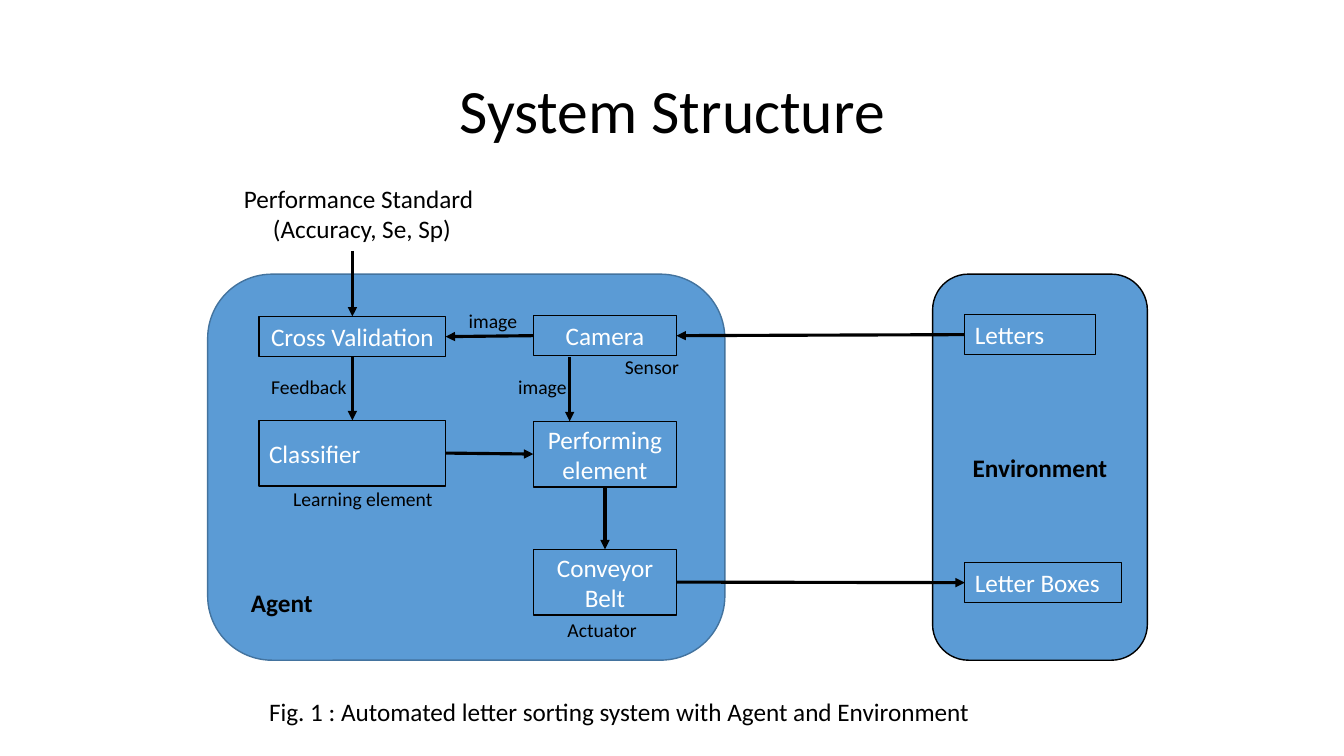
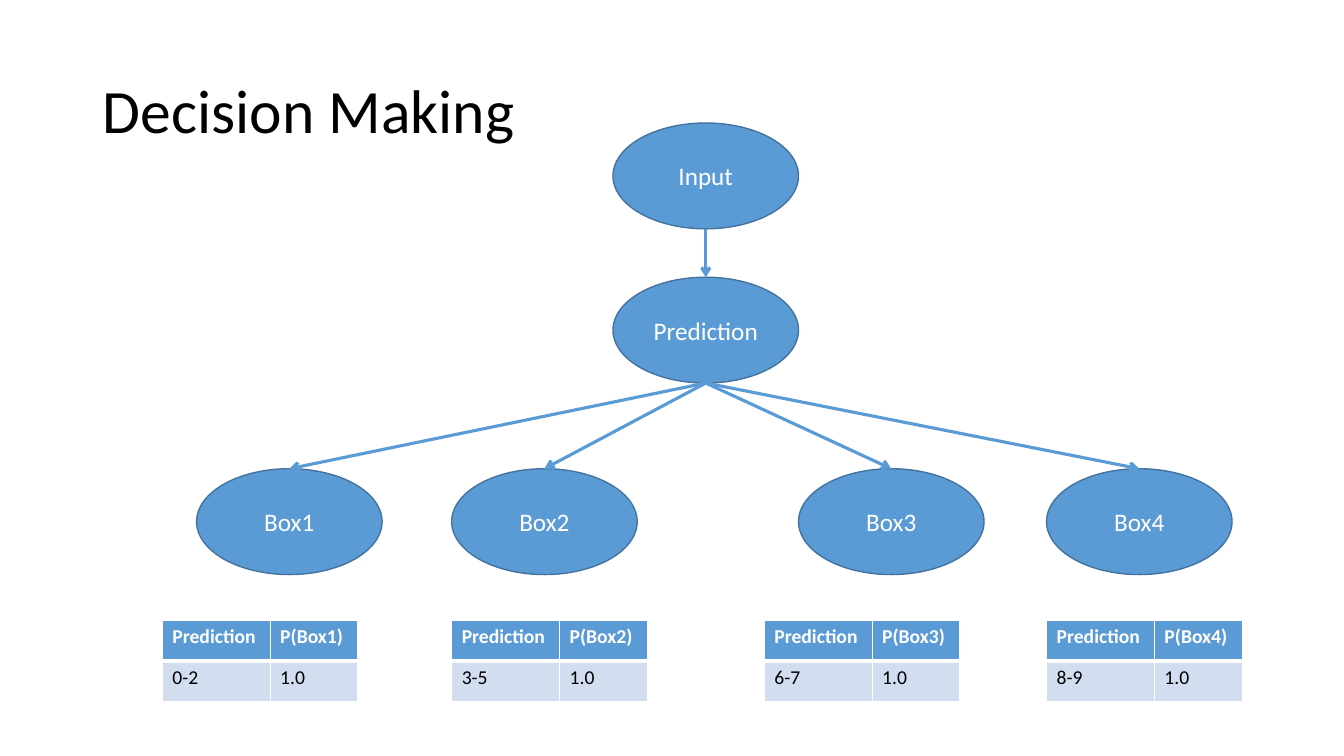
from lxml import etree
from pptx import Presentation
from pptx.dml.color import RGBColor
from pptx.enum.shapes import MSO_CONNECTOR, MSO_SHAPE
from pptx.enum.text import MSO_ANCHOR, MSO_AUTO_SIZE, PP_ALIGN
from pptx.oxml.ns import qn
from pptx.util import Pt

PX = 9144
FONT = "Calibri"
COLOURS = {
    "blue": "5B9BD5",
    "edge": "43739E",
    "pale": "D2DEEF",
    "black": "000000",
    "white": "FFFFFF",
}
RECT = MSO_SHAPE.RECTANGLE
ROUNDED = MSO_SHAPE.ROUNDED_RECTANGLE
OVAL = MSO_SHAPE.OVAL
STRAIGHT = MSO_CONNECTOR.STRAIGHT
LEFT, CENTRE = PP_ALIGN.LEFT, PP_ALIGN.CENTER
TOP_SITE, LEFT_SITE, BOTTOM_SITE, RIGHT_SITE = range(4)
OVAL_BOTTOM_SITE = 4
TITLE_BOX = (92, 40, 1150, 145)
TITLE_ONLY = 5


def emu(*lengths):
    """Turn px lengths into EMU."""
    return [length * PX for length in lengths]


def within(box, left, top, width, height):
    """Move a rectangle given relative to a box onto the slide."""
    return box[0] + left, box[1] + top, width, height


def rgb(colour):
    """Look up a named colour."""
    return RGBColor.from_string(COLOURS[colour])


def write(frame, lines, size=18, colour="black", align=LEFT, bold=False):
    """Fill a text frame with one paragraph per line."""
    frame.word_wrap = True
    for index, line in enumerate(lines):
        paragraph = frame.add_paragraph() if index else frame.paragraphs[0]
        paragraph.alignment = align
        run = paragraph.add_run()
        run.text = line
        run.font.name = FONT
        run.font.size = Pt(size)
        run.font.bold = bold
        run.font.color.rgb = rgb(colour)


def add_titled_slide(deck, title, align):
    """Add a slide with the shared title style."""
    slide = deck.slides.add_slide(deck.slide_layouts[TITLE_ONLY])
    heading = slide.shapes.title
    heading.left, heading.top, heading.width, heading.height = emu(*TITLE_BOX)
    frame = heading.text_frame
    write(frame, [title], size=44, align=align)
    frame.auto_size = MSO_AUTO_SIZE.NONE
    frame.vertical_anchor = MSO_ANCHOR.MIDDLE
    frame.paragraphs[0].line_spacing = 0.9
    return slide


def add_label(slide, box, lines, **style):
    """Add a plain text label."""
    label = slide.shapes.add_textbox(*emu(*box))
    write(label.text_frame, lines, **style)
    return label


def add_node(slide, kind, box, lines=(), fill="blue", edge="black",
             weight=1, colour="white", align=CENTRE, bold=False):
    """Add an outlined shape with its text in the middle."""
    node = slide.shapes.add_shape(kind, *emu(*box))
    node.shadow.inherit = False
    if fill:
        node.fill.solid()
        node.fill.fore_color.rgb = rgb(fill)
    else:
        node.fill.background()
    node.line.color.rgb = rgb(edge)
    node.line.width = Pt(weight)
    node.text_frame.vertical_anchor = MSO_ANCHOR.MIDDLE
    write(node.text_frame, lines, colour=colour, align=align, bold=bold)
    return node


def add_arrow(slide, start, end, colour="black", head="triangle"):
    """Draw a straight arrow between two px points."""
    arrow = slide.shapes.add_connector(STRAIGHT, *emu(*start, *end))
    arrow.line.color.rgb = rgb(colour)
    arrow.line.width = Pt(2.25)
    properties = arrow._element.spPr
    etree.SubElement(properties.find(qn("a:ln")), qn("a:tailEnd"), type=head)
    etree.SubElement(properties, qn("a:effectLst"))
    return arrow


def link(slide, source, source_site, target, target_site, **style):
    """Join two nodes with an arrow attached to both."""
    arrow = add_arrow(slide, (0, 0), (0, 0), **style)
    arrow.begin_connect(source, source_site)
    arrow.end_connect(target, target_site)
    return arrow


def add_agent(slide, box):
    """Draw the agent with its elements and return those linked outside."""
    add_node(slide, ROUNDED, box, edge="edge")

    def element(lines, *place, align=CENTRE):
        """Add one element of the agent."""
        return add_node(slide, RECT, within(box, *place), lines, align=align)

    camera = element(["Camera"], 323, 41, 142, 40)
    validation = element(["Cross Validation"], 51, 42, 185, 40)
    classifier = element(["Classifier"], 51, 145, 185, 65, align=LEFT)
    performer = element(["Performing", "element"], 323, 146, 142, 65)
    conveyor = element(["Conveyor Belt"], 323, 273, 142, 65)

    for source, source_site, target, target_site in (
        (camera, LEFT_SITE, validation, RIGHT_SITE),
        (validation, BOTTOM_SITE, classifier, TOP_SITE),
        (classifier, RIGHT_SITE, performer, LEFT_SITE),
        (performer, BOTTOM_SITE, conveyor, TOP_SITE),
    ):
        link(slide, source, source_site, target, target_site)
    image_x = box[0] + 359
    add_arrow(slide, (image_x, box[1] + 82), (image_x, box[1] + 146))

    for caption, left, top, width in (
        ("Sensor", 404, 75, 119),
        ("Actuator", 347, 336, 143),
        ("Learning element", 75, 206, 221),
        ("Feedback", 53, 95, 119),
        ("image", 249, 30, 80),
        ("image", 298, 95, 80),
    ):
        add_label(slide, within(box, left, top, width, 34), [caption], size=14)
    add_label(slide, within(box, 33, 306, 175, 40), ["Agent"], bold=True)
    return camera, validation, conveyor


def add_environment(slide, box):
    """Draw the environment and return its letters and letter boxes."""
    add_node(slide, ROUNDED, box, ["Environment"], colour="black", bold=True)
    return [
        add_node(slide, RECT, within(box, 32, top, width, 40), [item],
                 fill=None, weight=0.75, align=LEFT)
        for item, top, width in (("Letters", 40, 130), ("Letter Boxes", 286, 155))
    ]


def build_structure(deck):
    """Build the system structure slide."""
    slide = add_titled_slide(deck, "System Structure", CENTRE)
    camera, validation, conveyor = add_agent(slide, (206, 272, 513, 383))
    letters, letter_boxes = add_environment(slide, (925, 272, 213, 383))
    link(slide, letters, LEFT_SITE, camera, RIGHT_SITE)
    link(slide, conveyor, RIGHT_SITE, letter_boxes, LEFT_SITE)

    standard = add_label(slide, (232, 177, 254, 71),
                         ["Performance Standard", "(Accuracy, Se, Sp)"])
    standard.text_frame.paragraphs[1].alignment = CENTRE
    arrow = add_arrow(slide, (350, 249), (350, 314))
    arrow.end_connect(validation, TOP_SITE)
    arrow.begin_x = arrow.end_x
    add_label(slide, (257, 686, 854, 40),
              ["Fig. 1 : Automated letter sorting system with Agent and Environment"])


def add_border(cell, side, weight):
    """Draw one white border of a table cell."""
    properties = cell._tc.get_or_add_tcPr()
    border = etree.SubElement(properties, qn(f"a:ln{side}"), w=str(Pt(weight)))
    fill = etree.SubElement(border, qn("a:solidFill"))
    etree.SubElement(fill, qn("a:srgbClr"), val=COLOURS["white"])


def add_probabilities(slide, box, rows):
    """Add the probability table of one box."""
    table = slide.shapes.add_table(len(rows), 2, *emu(*box)).table
    for column, width in zip(table.columns, (107, 87)):
        column.width = width * PX
    for row_index, row in enumerate(rows):
        header = row_index == 0
        weights = {"L": 1, "R": 1, "T": 1 if header else 3, "B": 3 if header else 1}
        for column_index, entry in enumerate(row):
            cell = table.cell(row_index, column_index)
            for side, weight in weights.items():
                add_border(cell, side, weight)
            cell.fill.solid()
            cell.fill.fore_color.rgb = rgb("blue" if header else "pale")
            write(cell.text_frame, [entry], size=14, bold=header,
                  colour="white" if header else "black")


def add_branch(slide, source, name, left, top):
    """Add an oval below a source oval, with an arrow leading to it."""
    node = add_node(slide, OVAL, (left, top, 184, 105), [name], edge="edge")
    if source:
        arrow = link(slide, source, BOTTOM_SITE, node, TOP_SITE,
                     colour="blue", head="arrow")
        start = arrow._element.nvCxnSpPr.cNvCxnSpPr.stCxn
        start.set("idx", str(OVAL_BOTTOM_SITE))
    return node


def build_decision(deck):
    """Build the decision making slide."""
    slide = add_titled_slide(deck, "Decision Making", LEFT)
    source = add_branch(slide, None, "Input", 608, 122)
    prediction = add_branch(slide, source, "Prediction", 608, 275)
    for name, digits, oval_left, table_left in (
        ("Box1", "0-2", 195, 161),
        ("Box2", "3-5", 448, 448),
        ("Box3", "6-7", 792, 758),
        ("Box4", "8-9", 1038, 1038),
    ):
        add_branch(slide, prediction, name, oval_left, 465)
        add_probabilities(slide, (table_left, 615, 194, 81),
                          [("Prediction", f"P({name})"), (digits, "1.0")])


def main():
    """Build and save the deck."""
    deck = Presentation()
    deck.slide_width, deck.slide_height = emu(1333, 750)
    build_structure(deck)
    build_decision(deck)
    deck.save("out.pptx")


if __name__ == "__main__":
    main()
